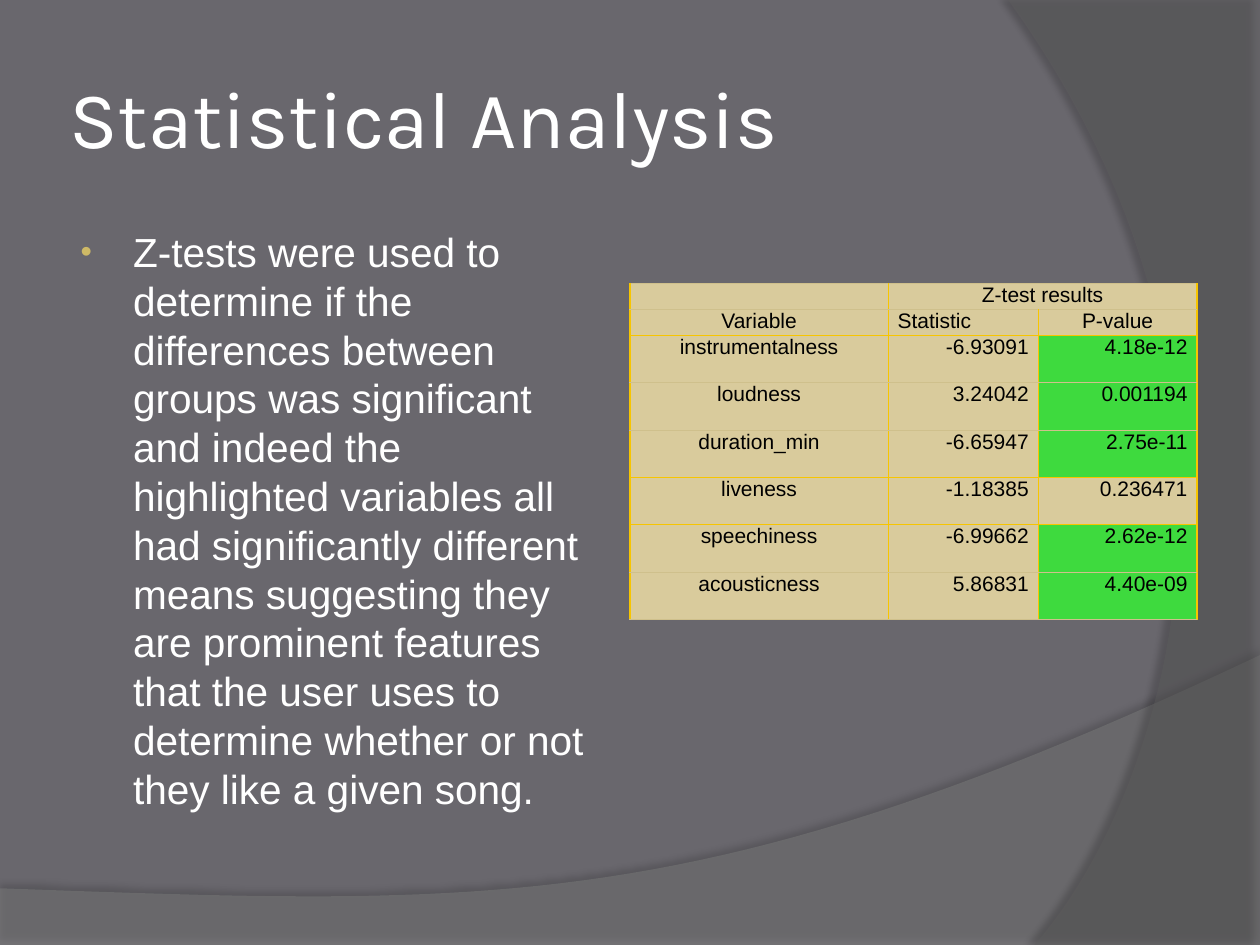
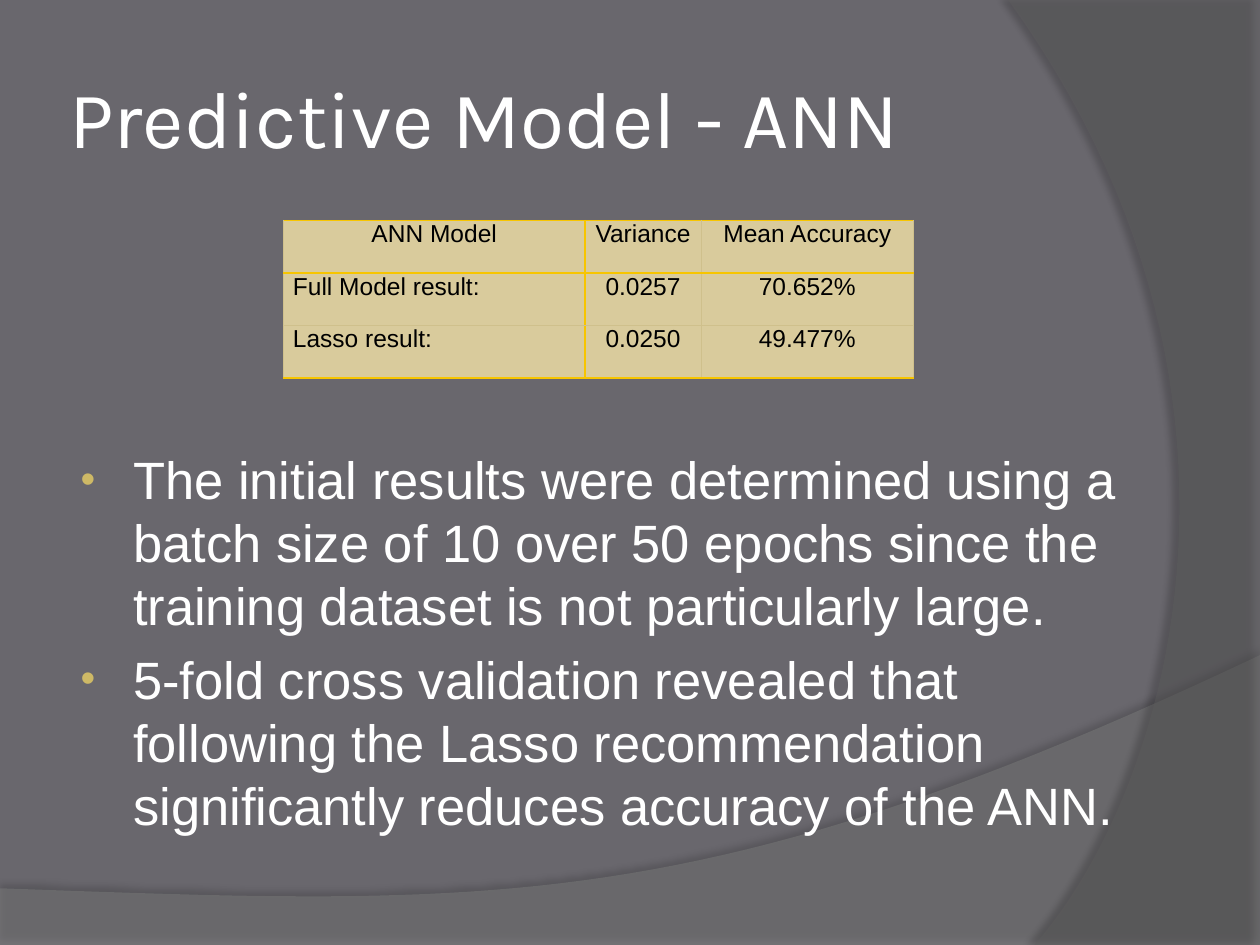
import pptx
import pptx.util
import pptx.dml.color
import pptx.enum.text
import pptx.oxml
import pptx.oxml.ns

Pt = pptx.util.Pt
RGBColor = pptx.dml.color.RGBColor
ALIGN = pptx.enum.text.PP_ALIGN
ALIGNMENTS = {"l": ALIGN.LEFT, "c": ALIGN.CENTER, "r": ALIGN.RIGHT}

BACKGROUND = RGBColor(0x69, 0x67, 0x6D)
WAVE_GRAY = RGBColor(0x7F, 0x7F, 0x7F)
ARC_GRAY = RGBColor(0x5E, 0x5E, 0x5E)
WHITE = RGBColor(0xFF, 0xFF, 0xFF)
BLACK = RGBColor(0, 0, 0)
BULLET_GOLD = RGBColor(0xCE, 0xB9, 0x66)
CELL_TAN = RGBColor(0xD9, 0xCB, 0x9C)
RULE_TAN = RGBColor(0xCF, 0xC0, 0x8C)
RULE_YELLOW = RGBColor(0xF7, 0xC5, 0x00)
SIGNIFICANT_GREEN = RGBColor(0x3E, 0xDA, 0x3E)

TITLE_FONT = {"name": "Karla", "size": Pt(46), "bold": False, "color": WHITE}
TITLE_BOX = (36, 21.6, 588.24, 90)

# Background bands: a curve (four Bezier points) closed by straight corners
BANDS = [
    {"curve": [(720, 374.4), (402.48, 524.88), (281.52, 517.68), (0, 507.6)],
     "corners": [(0, 540), (720, 540)], "color": WAVE_GRAY, "opacity": 45,
     "shadow": {"opacity": 35, "blur": 4, "distance": 3.5, "angle": 270}},
    {"curve": [(591.12, 540), (673.2, 445.68), (732.96, 216), (576, 0)],
     "corners": [(720, 0), (720, 540)], "color": ARC_GRAY, "opacity": 40,
     "shadow": {"opacity": 45, "blur": 4, "distance": 4, "angle": 180}},
]

# Content; the yellow rules are counted from the top and from the left
SLIDES = [
    {
        "title": "Statistical Analysis",
        "bullets": [
            "Z-tests were used to determine if the differences between groups was "
            "significant and indeed the highlighted variables all had significantly "
            "different means suggesting they are prominent features that the user "
            "uses to determine whether or not they like a given song.",
        ],
        "text_box": (36, 126, 306, 356.4), "text_size": 23.2, "line_pitch": 27.9,
        "table": {
            "left": 360, "top": 162, "font_size": 12, "rule_width": 0.75,
            "columns": [147.6, 85.7, 90.7],
            "row_heights": [15, 14.5] + [27.1] * 6,
            "rows": [
                ("", "Z-test results", ""),
                ("Variable", "Statistic", "P-value"),
                ("instrumentalness", "-6.93091", "4.18e-12"),
                ("loudness", "3.24042", "0.001194"),
                ("duration_min", "-6.65947", "2.75e-11"),
                ("liveness", "-1.18385", "0.236471"),
                ("speechiness", "-6.99662", "2.62e-12"),
                ("acousticness", "5.86831", "4.40e-09"),
            ],
            "alignments": ["ccc", "clc"] + ["crr"] * 6,
            "merge": ((0, 1), (0, 2)),
            "highlights": [(row, 2) for row in (2, 3, 4, 6, 7)],
            "yellow_rows": {2, 5, 6}, "yellow_columns": {0, 1, 2, 3},
        },
    },
    {
        "title": "Predictive Model - ANN",
        "bullets": [
            "The initial results were determined using a batch size of 10 over 50 "
            "epochs since the training dataset is not particularly large.",
            "5-fold cross validation revealed that following the Lasso "
            "recommendation significantly reduces accuracy of the ANN.",
        ],
        "text_box": (36, 252, 642.24, 230.4), "text_size": 30, "line_pitch": 36,
        "table": {
            "left": 162, "top": 126, "font_size": 14, "rule_width": 1,
            "columns": [172.3, 66.4, 121.3],
            "row_heights": [30] * 3,
            "rows": [
                ("ANN Model", "Variance", "Mean Accuracy"),
                ("Full Model result:", "0.0257", "70.652%"),
                ("Lasso result:", "0.0250", "49.477%"),
            ],
            "alignments": ["ccc", "lcc", "lcc"],
            "merge": None,
            "highlights": [],
            "yellow_rows": {0, 1, 3}, "yellow_columns": {1},
        },
    },
]


def xml(content):
    """Parse one drawing element, given without its namespace declaration."""
    tag, rest = content[1:].split(" ", 1)
    return pptx.oxml.parse_xml(f"<{tag} {pptx.oxml.ns.nsdecls('a')} {rest}")


def format_font(font, values):
    for name, value in values.items():
        if name == "color":
            font.color.rgb = value
        else:
            setattr(font, name, value)


def curve_points(curve, steps=48):
    for step in range(steps + 1):
        t = step / steps
        weights = ((1 - t) ** 3, 3 * t * (1 - t) ** 2, 3 * t * t * (1 - t), t ** 3)
        yield tuple(Pt(sum(w * point[axis] for w, point in zip(weights, curve)))
                    for axis in (0, 1))


def add_band(slide, band):
    points = list(curve_points(band["curve"]))
    points += [(Pt(x), Pt(y)) for x, y in band["corners"]]
    builder = slide.shapes.build_freeform(*points[0])
    builder.add_line_segments(points[1:], close=True)
    shape = builder.convert_to_shape()
    shape.fill.solid()
    shape.fill.fore_color.rgb = band["color"]
    shape.line.fill.background()
    shape.shadow.inherit = False
    properties = shape.element.spPr
    color = properties.find(".//" + pptx.oxml.ns.qn("a:srgbClr"))
    color.append(xml(f'<a:alpha val="{band["opacity"] * 1000}"/>'))
    shadow = band["shadow"]
    properties.find(pptx.oxml.ns.qn("a:effectLst")).append(xml(
        f'<a:outerShdw blurRad="{Pt(shadow["blur"])}" dist="{Pt(shadow["distance"])}" '
        f'dir="{shadow["angle"] * 60000}" algn="ctr" rotWithShape="0">'
        f'<a:srgbClr val="000000"><a:alpha val="{shadow["opacity"] * 1000}"/>'
        '</a:srgbClr></a:outerShdw>'))
    return shape


def set_title(slide, text):
    title = slide.shapes.title
    title.left, title.top, title.width, title.height = map(Pt, TITLE_BOX)
    frame = title.text_frame
    frame.text = text
    frame_format = {"word_wrap": True, "vertical_anchor": pptx.enum.text.MSO_ANCHOR.MIDDLE,
                    "auto_size": pptx.enum.text.MSO_AUTO_SIZE.NONE}
    for side in ("left", "right", "top", "bottom"):
        frame_format["margin_" + side] = Pt(3.6)
    for name, value in frame_format.items():
        setattr(frame, name, value)
    paragraph = frame.paragraphs[0]
    paragraph.alignment = ALIGN.LEFT
    format_font(paragraph.runs[0].font, TITLE_FONT)


def add_bullets(slide, content):
    frame = slide.shapes.add_textbox(*map(Pt, content["text_box"])).text_frame
    frame.word_wrap = True
    size = content["text_size"]
    for index, text in enumerate(content["bullets"]):
        paragraph = frame.add_paragraph() if index else frame.paragraphs[0]
        run = paragraph.add_run()
        run.text = text
        format_font(run.font, {"name": "Arial", "size": Pt(size), "color": WHITE})
        paragraph.line_spacing = Pt(content["line_pitch"])
        paragraph.space_before = Pt(0.2 * size if index else 0)
        properties = paragraph._p.get_or_add_pPr()
        properties.set("marL", str(Pt(33)))
        properties.set("indent", str(Pt(-30)))
        for bullet in (f'<a:buClr ><a:srgbClr val="{BULLET_GOLD}"/></a:buClr>',
                       '<a:buSzPct val="80000"/>',
                       '<a:buFont typeface="Arial"/>',
                       '<a:buChar char="•"/>'):
            properties.append(xml(bullet))


def set_borders(cell, row, column, table_content):
    edges = [("lnL", column in table_content["yellow_columns"]),
             ("lnR", column + 1 in table_content["yellow_columns"]),
             ("lnT", row in table_content["yellow_rows"]),
             ("lnB", row + 1 in table_content["yellow_rows"])]
    properties = cell._tc.get_or_add_tcPr()
    for position, (edge, yellow) in enumerate(edges):
        width = Pt(table_content["rule_width"] if yellow else 0.5)
        color = RULE_YELLOW if yellow else RULE_TAN
        properties.insert(position, xml(
            f'<a:{edge} w="{width}"><a:solidFill><a:srgbClr val="{color}"/>'
            f'</a:solidFill></a:{edge}>'))


def fill_cell(cell, text, alignment, size, color):
    for side, margin in {"left": 5.4, "right": 5.4, "top": 0, "bottom": 0}.items():
        setattr(cell, "margin_" + side, Pt(margin))
    cell.fill.solid()
    cell.fill.fore_color.rgb = color
    paragraph = cell.text_frame.paragraphs[0]
    paragraph.alignment = ALIGNMENTS[alignment]
    if text:
        run = paragraph.add_run()
        run.text = text
        format_font(run.font, {"name": "Arial", "size": Pt(size), "bold": False,
                               "color": BLACK})
    else:
        # An empty cell needs its own size to keep the row low
        paragraph._p.append(xml(f'<a:endParaRPr sz="{size * 100}"/>'))


def add_table(slide, content):
    rows, columns, heights = content["rows"], content["columns"], content["row_heights"]
    table = slide.shapes.add_table(
        len(rows), len(columns), Pt(content["left"]), Pt(content["top"]),
        Pt(sum(columns)), Pt(sum(heights))).table
    table.first_row = table.horz_banding = False
    for column, width in zip(table.columns, columns):
        column.width = Pt(width)
    for row, height in zip(table.rows, heights):
        row.height = Pt(height)
    if content["merge"]:
        first, last = content["merge"]
        table.cell(*first).merge(table.cell(*last))
    for row, (texts, alignments) in enumerate(zip(rows, content["alignments"])):
        for column, (text, alignment) in enumerate(zip(texts, alignments)):
            cell = table.cell(row, column)
            highlighted = (row, column) in content["highlights"]
            fill_cell(cell, text, alignment, content["font_size"],
                      SIGNIFICANT_GREEN if highlighted else CELL_TAN)
            set_borders(cell, row, column, content)


def main():
    presentation = pptx.Presentation()
    presentation.slide_width, presentation.slide_height = Pt(720), Pt(540)
    layout = presentation.slide_layouts[5]
    layout.background.fill.solid()
    layout.background.fill.fore_color.rgb = BACKGROUND

    for number, content in enumerate(SLIDES):
        slide = presentation.slides.add_slide(layout)
        if number == 0:
            # Bands are drawn once, then moved behind everything on the layout
            for position, band in enumerate(BANDS):
                shape = add_band(slide, band)
                layout.shapes.element.insert(2 + position, shape.element)
        set_title(slide, content["title"])
        add_bullets(slide, content)
        add_table(slide, content["table"])

    presentation.save("out.pptx")


if __name__ == "__main__":
    main()
